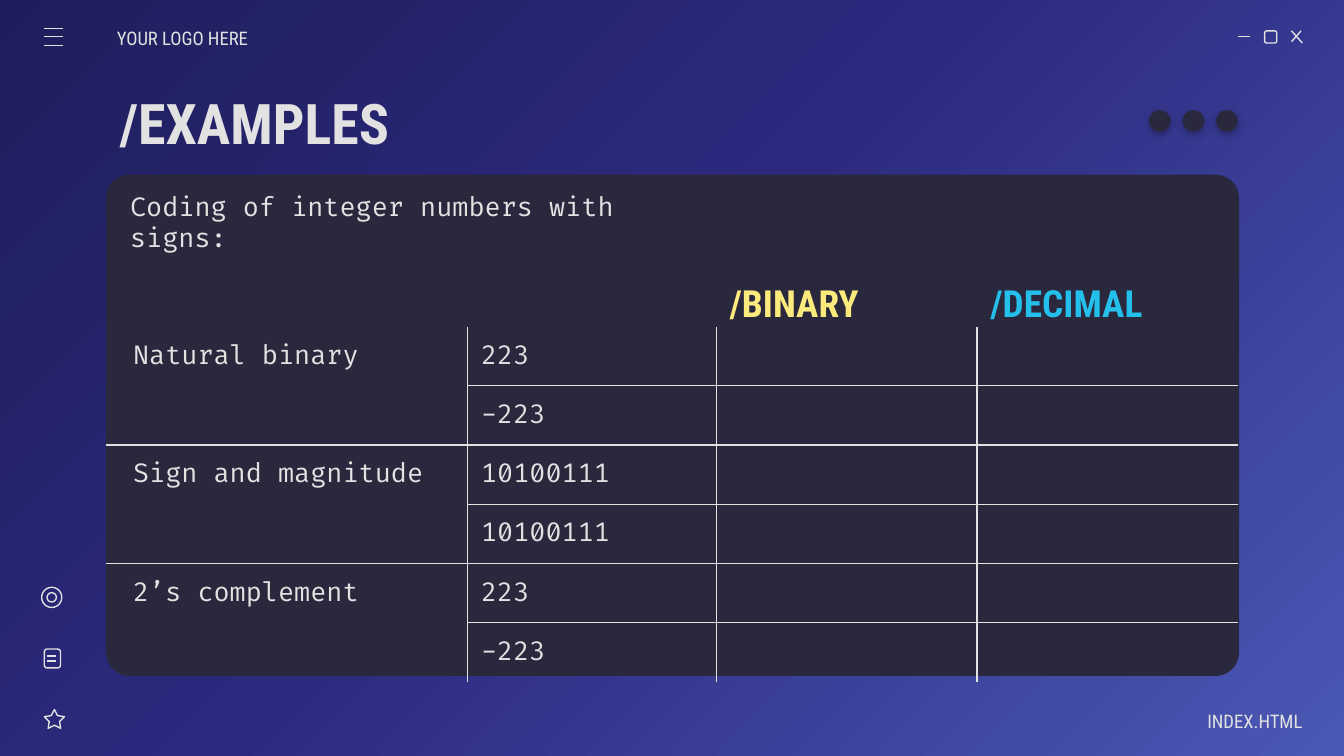
"""Build the examples slide: a table of signed integer codings on a dark panel."""
import pptx
import pptx.util
import pptx.dml.color
import pptx.enum.shapes
import pptx.enum.text
import lxml.etree
from pptx.oxml import parse_xml
from pptx.oxml.ns import nsdecls, qn

Inches, Pt = pptx.util.Inches, pptx.util.Pt
Kind = pptx.enum.shapes.MSO_SHAPE
Align = pptx.enum.text.PP_ALIGN
THEME = {
    "ink": "E2E2E2", "panel": "29283D", "gold": "FFEA7D", "cyan": "24BFEB",
    "back": [(0, "1E1E5C"), (46, "2C2A7F"), (100, "4A58B4")],
    "head": "Roboto Condensed", "code": "Fira Code",
    "title": 30, "label": 20, "body": 14, "small": 10, "line": 0.75,
}

TITLE = "/EXAMPLES"
TEXTS = [
    ("YOUR LOGO HERE", (0.87, 0.12, 1.17, 0.3), "small", "head", "ink"),
    ("INDEX.HTML", (8.52, 5.2, 1.17, 0.3), "small", "head", "ink"),
    ("/BINARY", (5.33, 2.08, 1.85, 0.35), "label", "head", "gold"),
    ("/DECIMAL", (7.27, 2.08, 1.85, 0.35), "label", "head", "cyan"),
    ("Coding of integer numbers with signs:", (0.87, 1.5, 4.63, 0.3),
     "body", "code", "ink"),
]
GROUPS = [
    ("Natural binary", ["223", "-223"]),
    ("Sign and magnitude", ["10100111", "10100111"]),
    ("2’s complement", ["223", "-223"]),
]
WIDTHS = [2.69, 1.85, 1.94, 1.94]
ROW = 0.41
LINES = [
    (9.21, 0.27, 9.3, 0.27), (9.61, 0.23, 9.69, 0.32), (9.68, 0.23, 9.61, 0.31),
    (0.35, 4.88, 0.42, 4.88), (0.35, 4.92, 0.42, 4.92),
] + [(0.33, y, 0.47, y) for y in (0.21, 0.27, 0.34)]
ICONS = [
    (Kind.ROUNDED_RECTANGLE, (9.41, 0.23, 0.09, 0.09), 0.167),
    (Kind.ROUNDED_RECTANGLE, (0.33, 4.83, 0.12, 0.14), 0.167),
    (Kind.STAR_5_POINT, (0.33, 5.28, 0.15, 0.14), 0.254),
    (Kind.OVAL, (0.31, 4.37, 0.15, 0.15), None),
    (Kind.OVAL, (0.35, 4.41, 0.07, 0.07), None),
]


def color(name):
    return pptx.dml.color.RGBColor.from_string(THEME[name])


def style(frame, size, face, ink, bold=False):
    for run in frame.paragraphs[0].runs:
        font = run.font
        font.size, font.name, font.bold = Pt(THEME[size]), THEME[face], bold
        font.color.rgb = color(ink)


def paint(slide):
    stops = "".join(
        f'<a:gs pos="{at * 1000}"><a:srgbClr val="{tint}"/></a:gs>'
        for at, tint in THEME["back"])
    fill = parse_xml(
        f'<a:gradFill {nsdecls("a")} rotWithShape="0"><a:gsLst>{stops}</a:gsLst>'
        '<a:path path="circle"><a:fillToRect r="100000" b="100000"/></a:path>'
        '</a:gradFill>')
    slide.background.fill.solid()
    props = slide.background._cSld.bg.bgPr
    props.replace(props[0], fill)


def shape(slide, kind, box, adj=None, fill=None):
    item = slide.shapes.add_shape(kind, *map(Inches, box))
    item.shadow.inherit = False
    if adj is not None:
        item.adjustments[0] = adj
    if fill:
        item.fill.solid()
        item.fill.fore_color.rgb = color(fill)
        item.line.fill.background()
    else:
        item.fill.background()
        item.line.color.rgb = color("ink")
        item.line.width = Pt(THEME["line"])
    return item


def line(slide, ends):
    item = slide.shapes.add_connector(
        pptx.enum.shapes.MSO_CONNECTOR.STRAIGHT, *map(Inches, ends))
    item.line.color.rgb = color("ink")
    item.line.width = Pt(THEME["line"])
    lxml.etree.SubElement(item._element.spPr, qn("a:effectLst"))


def text(item, words, size, face, ink, bold):
    frame = item.text_frame
    frame.text, frame.word_wrap = words, True
    frame.auto_size = pptx.enum.text.MSO_AUTO_SIZE.NONE
    frame.vertical_anchor = pptx.enum.text.MSO_ANCHOR.MIDDLE
    frame.margin_left = frame.margin_right = Inches(0.1)
    frame.margin_top = frame.margin_bottom = Inches(0.1)
    frame.paragraphs[0].alignment = Align.LEFT
    style(frame, size, face, ink, bold)
    return frame


def edges(cell, drawn):
    props = cell._tc.get_or_add_tcPr()
    for i, side in enumerate("LRTB"):
        fill = (f'<a:solidFill><a:srgbClr val="{THEME["ink"]}"/></a:solidFill>'
                if side in drawn else "<a:noFill/>")
        props.insert(i, parse_xml(
            f'<a:ln{side} {nsdecls("a")} w="{Pt(THEME["line"])}">{fill}</a:ln{side}>'))


def table(slide):
    rows = [(name if i == 0 else "", code, "", "")
            for name, codes in GROUPS for i, code in enumerate(codes)]
    grid = slide.shapes.add_table(
        len(rows), len(WIDTHS), Inches(0.79), Inches(2.43),
        Inches(sum(WIDTHS)), Inches(ROW * len(rows))).table
    grid.first_row = grid.horz_banding = False
    for col, width in zip(grid.columns, WIDTHS):
        col.width = Inches(width)
    for r, row in enumerate(rows):
        grid.rows[r].height = Inches(ROW)
        for c, words in enumerate(row):
            cell = grid.cell(r, c)
            cell.text = words
            cell.fill.background()
            cell.vertical_anchor = pptx.enum.text.MSO_ANCHOR.MIDDLE
            cell.margin_left = Inches(0.1 if c else 0.2)
            cell.margin_right = Inches(0.1)
            cell.margin_top = cell.margin_bottom = Inches(0.1 if words else 0.05)
            style(cell.text_frame, "body", "code", "ink")
            drawn = ("L" if c else "") + ("R" if c < len(row) - 1 else "")
            if r and (c or r % 2 == 0):
                drawn += "T"
            if r < len(rows) - 1 and (c or r % 2):
                drawn += "B"
            edges(cell, drawn)


def dots(slide):
    for i in range(3):
        dot = shape(slide, Kind.OVAL, (8.55 + 0.25 * i, 0.82, 0.16, 0.16),
                    fill="panel")
        dot._element.spPr.find(qn("a:effectLst")).append(parse_xml(
            f'<a:outerShdw {nsdecls("a")} blurRad="{Pt(4.5)}" dist="{Pt(1.5)}" '
            'dir="5400000" algn="bl" rotWithShape="0"><a:srgbClr val="000000">'
            '<a:alpha val="30000"/></a:srgbClr></a:outerShdw>'))


def main():
    deck = pptx.Presentation()
    deck.slide_width, deck.slide_height = Inches(10), Inches(10) * 9 // 16
    slide = deck.slides.add_slide(deck.slide_layouts[5])
    paint(slide)
    shape(slide, Kind.ROUNDED_RECTANGLE, (0.79, 1.3, 8.43, 3.73), 0.047, "panel")
    for ends in LINES:
        line(slide, ends)
    for kind, box, adj in ICONS:
        shape(slide, kind, box, adj)
    title = slide.shapes.title
    title.left, title.top = Inches(0.79), Inches(0.59)
    title.width, title.height = Inches(7.88), Inches(0.63)
    text(title, TITLE, "title", "head", "ink", True)
    table(slide)
    dots(slide)
    for words, box, size, face, ink in TEXTS:
        item = slide.shapes.add_textbox(*map(Inches, box))
        frame = text(item, words, size, face, ink, size == "label")
        if size == "small":
            para = frame.paragraphs[0]
            para.line_spacing = 1.15
            if box[0] > 5:
                para.alignment, frame.margin_right = Align.RIGHT, 0
            else:
                frame.margin_left = 0
    deck.save("out.pptx")


if __name__ == "__main__":
    main()
